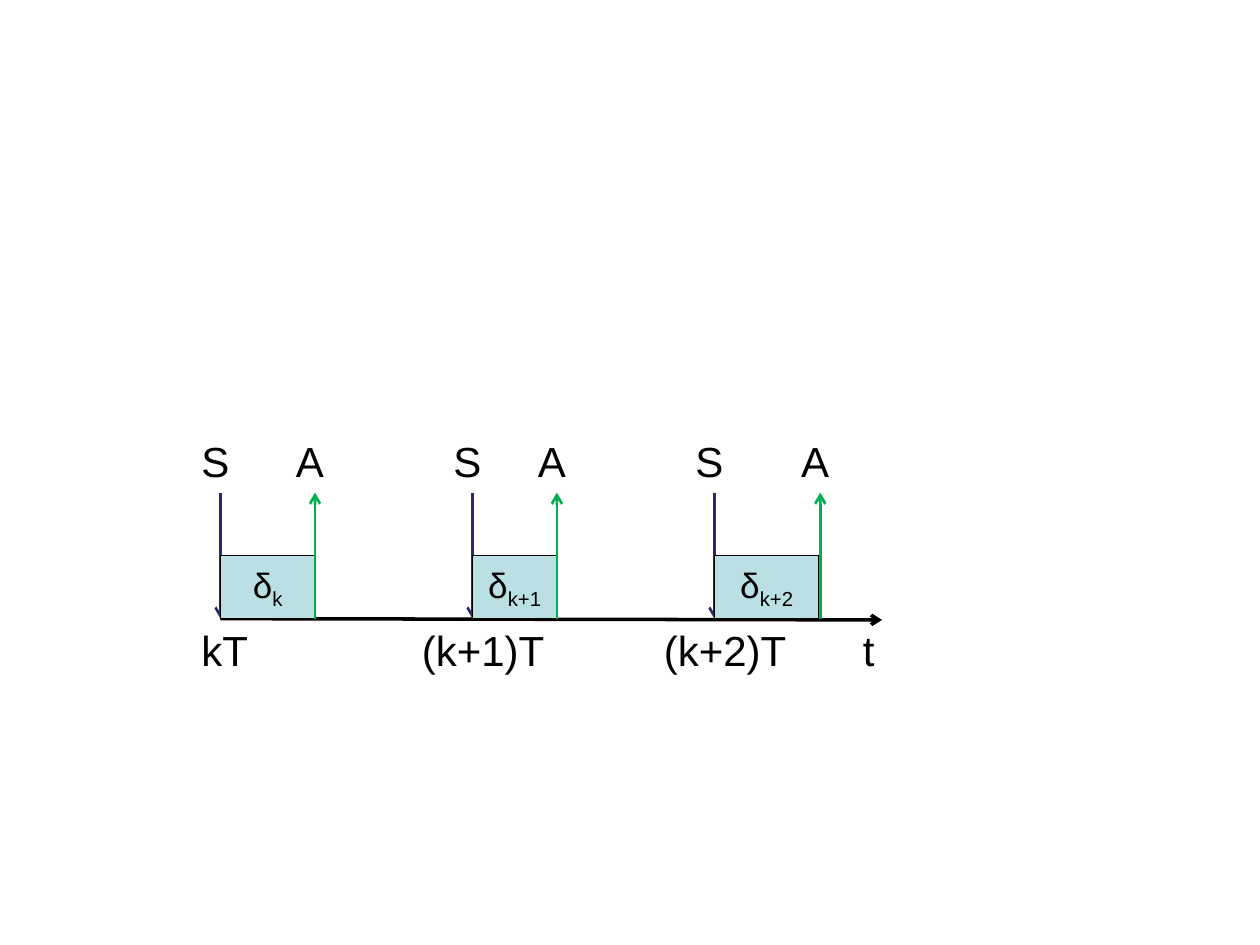
from dataclasses import dataclass

from lxml import etree
from pptx import Presentation
from pptx.dml.color import RGBColor
from pptx.enum import shapes, text
from pptx.oxml import ns
from pptx.shapes.shapetree import GroupShapes
from pptx.util import Inches, Pt


@dataclass(frozen=True)
class Theme:
    font: str = "Arial"
    label_size: float = 24
    delay_size: float = 20
    ink: str = "000000"
    sample: str = "262673"
    action: str = "00B050"
    delay_fill: str = "BBE0E3"
    axis_width: float = 2
    arrow_width: float = 1.5
    box_width: float = 0.75


@dataclass(frozen=True)
class Period:
    """One sampling period: sample instant, then actuation after a delay."""
    start: float
    delay: float
    action: float
    subscript: str
    time_label: str
    time_left: float
    time_width: float


THEME = Theme()
AXIS_Y, ARROW_TOP, BOX_TOP, LABEL_TOP = 4.91, 3.91, 4.41, 3.41
LABEL_SIZE = 0.5
PERIODS = [
    Period(1.75, 0.75, 2.5, "k", "kT", 1.5, 0.67),
    Period(3.75, 0.67, 4.42, "k+1", "(k+1)T", 3.25, 1.5),
    Period(5.67, 0.83, 6.51, "k+2", "(k+2)T", 5.17, 1.58),
]


def add_span(para, words: str, size: float, baseline: int = 0) -> None:
    span = para.add_run()
    span.text = words
    span.font.name = THEME.font
    span.font.size = Pt(size)
    span.font.color.rgb = RGBColor.from_string(THEME.ink)
    if baseline:
        span._r.get_or_add_rPr().set("baseline", str(baseline))


def add_label(group: GroupShapes, words: str, left: float, top: float,
              width: float = LABEL_SIZE) -> None:
    box = group.add_textbox(Inches(left), Inches(top), Inches(width), Inches(LABEL_SIZE))
    frame = box.text_frame
    frame.word_wrap = True
    frame.auto_size = text.MSO_AUTO_SIZE.SHAPE_TO_FIT_TEXT
    add_span(frame.paragraphs[0], words, THEME.label_size)


def add_arrow(group: GroupShapes, start: tuple[float, float], end: tuple[float, float],
              color: str, width: float) -> None:
    arrow = group.add_connector(shapes.MSO_CONNECTOR.STRAIGHT,
                                *(Inches(value) for value in start + end))
    arrow.line.color.rgb = RGBColor.from_string(color)
    arrow.line.width = Pt(width)
    etree.SubElement(arrow.line._get_or_add_ln(), ns.qn("a:tailEnd"), type="arrow")
    etree.SubElement(arrow._element.spPr, ns.qn("a:effectLst"))


def add_delay(group: GroupShapes, period: Period) -> None:
    box = group.add_shape(shapes.MSO_SHAPE.RECTANGLE, Inches(period.start), Inches(BOX_TOP),
                          Inches(period.delay), Inches(AXIS_Y - BOX_TOP))
    box.shadow.inherit = False
    box.fill.solid()
    box.fill.fore_color.rgb = RGBColor.from_string(THEME.delay_fill)
    box.line.color.rgb = RGBColor.from_string(THEME.ink)
    box.line.width = Pt(THEME.box_width)
    box.text_frame.vertical_anchor = text.MSO_ANCHOR.MIDDLE
    para = box.text_frame.paragraphs[0]
    para.alignment = text.PP_ALIGN.CENTER
    add_span(para, "δ", THEME.delay_size)
    add_span(para, period.subscript, THEME.delay_size, baseline=-25000)


def main() -> None:
    deck = Presentation()
    deck.slide_width, deck.slide_height = Inches(10), Inches(7.5)
    page = deck.slides.add_slide(deck.slide_layouts[6])
    group = page.shapes.add_group_shape().shapes

    # Time axis
    add_arrow(group, (PERIODS[0].start, AXIS_Y), (7, 4.92), THEME.ink, THEME.axis_width)

    # Sampling instants, behind the delay boxes
    for period in PERIODS:
        add_arrow(group, (period.start, ARROW_TOP), (period.start, AXIS_Y),
                  THEME.sample, THEME.arrow_width)
        add_label(group, "S", period.start - LABEL_SIZE / 2, LABEL_TOP)

    # Delays, actuation instants and time labels
    for period in PERIODS:
        add_delay(group, period)
        add_arrow(group, (period.action, AXIS_Y), (period.action, ARROW_TOP),
                  THEME.action, THEME.arrow_width)
        add_label(group, "A", period.action - LABEL_SIZE / 2, LABEL_TOP)
        add_label(group, period.time_label, period.time_left, AXIS_Y, period.time_width)
    add_label(group, "t", 6.75, AXIS_Y, 0.42)

    deck.save("out.pptx")


if __name__ == "__main__":
    main()
